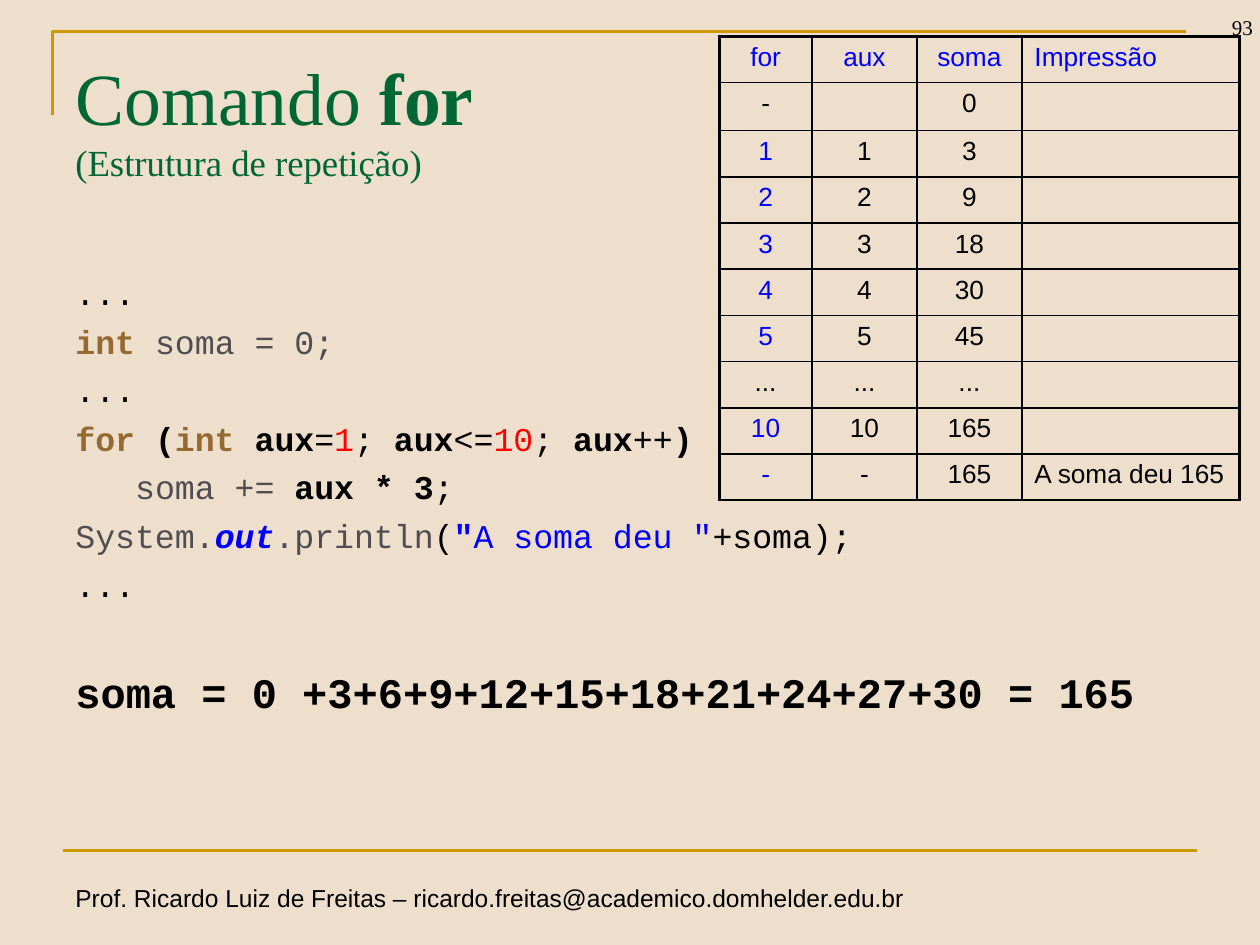
from collections import namedtuple
from dataclasses import dataclass
from lxml.etree import SubElement as Sub
from pptx import Presentation
from pptx.dml.color import RGBColor as Color
from pptx.enum.shapes import MSO_CONNECTOR as Link
from pptx.enum.text import MSO_ANCHOR as Anchor, PP_ALIGN as Align
from pptx.oxml.ns import qn
from pptx.util import Pt

Box = namedtuple("Box", "x y w h")


@dataclass(frozen=True)
class Theme:
    back: str = "EEDFCC"
    gold: str = "CC9900"
    green: str = "006633"
    black: str = "000000"
    blue: str = "0000FF"
    brown: str = "946A32"
    gray: str = "4F4D52"
    red: str = "FF0000"
    sans: str = "Arial"
    serif: str = "Times New Roman"
    mono: str = "Courier New"
    head: float = 42
    sub: float = 21
    code: float = 19
    sum: float = 24
    cell: float = 15
    foot: float = 14
    page: float = 12
    thin: float = 1
    rule: float = 1.5
    thick: float = 2.25


T = Theme()
CODE = [
    [("...", T.black, "")],
    [("int ", T.brown, "b"), ("soma = 0;", T.gray, "")],
    [("...", T.black, "")],
    [("for", T.brown, "b"), (" (", T.black, "b"), ("int ", T.brown, "b"),
     ("aux", T.black, "b"), ("=", T.black, ""), ("1", T.red, ""),
     ("; ", T.black, ""), ("aux", T.black, "b"), ("<=", T.black, ""),
     ("10", T.red, ""), ("; ", T.black, ""), ("aux", T.black, "b"),
     ("++", T.black, ""), (")", T.black, "b")],
    [("   ", T.black, ""), ("soma += ", T.gray, ""),
     ("aux * 3", T.black, "b"), (";", T.black, "")],
    [("System.", T.gray, ""), ("out", T.blue, "bi"), (".println", T.gray, ""),
     ("(", T.black, ""), ('"', T.blue, "b"), ('A soma deu "', T.blue, ""),
     ("+soma);", T.black, "")],
    [("...", T.black, "")],
]
TOTAL = [[("soma = 0 +3+6+9+12+15+18+21+24+27+30 = 165", T.black, "b")]]
HEADS = ["for", "aux", "soma", "Impressão"]
STEPS = [
    ["-", "", "0", ""],
    ["1", "1", "3", ""],
    ["2", "2", "9", ""],
    ["3", "3", "18", ""],
    ["4", "4", "30", ""],
    ["5", "5", "45", ""],
    ["...", "...", "...", ""],
    ["10", "10", "165", ""],
    ["-", "-", "165", "A soma deu 165"],
]


def add_run(para, text, face, size, tint, style=""):
    run = para.add_run()
    run.text = text
    font = run.font
    font.name, font.size = face, Pt(size)
    font.color.rgb = Color.from_string(tint)
    font.bold, font.italic = "b" in style, "i" in style


def add_text(slide, box, top=3.6, wrap=True):
    frame = slide.shapes.add_textbox(*map(Pt, box)).text_frame
    frame.word_wrap = wrap
    frame.margin_top = Pt(top)
    return frame


def ink(line, tint, width):
    line.color.rgb = Color.from_string(tint)
    line.width = Pt(width)


def draw_frame(slide, box):
    form = slide.shapes.build_freeform(Pt(box.x), Pt(box.y + 48))
    form.add_line_segments(
        [(Pt(box.x), Pt(box.y)), (Pt(box.x + 648), Pt(box.y))], close=False)
    edge = form.convert_to_shape()
    edge.shadow.inherit = False
    edge.fill.background()
    ink(edge.line, T.gold, T.rule)
    base = box.y + box.h
    rule = slide.shapes.add_connector(
        Link.STRAIGHT, Pt(box.x + 6), Pt(base), Pt(box.x + box.w), Pt(base))
    Sub(rule._element.spPr, qn("a:effectLst"))
    ink(rule.line, T.gold, T.rule)


def draw_foot(slide, box):
    para = add_text(slide, box, wrap=False).paragraphs[0]
    add_run(para, "Prof. Ricardo Luiz de Freitas – "
            "ricardo.freitas@academico.domhelder.edu.br",
            T.sans, T.foot, T.black)


def draw_page(slide, box):
    frame = add_text(slide, box)
    frame.vertical_anchor = Anchor.BOTTOM
    para = frame.paragraphs[0]
    para.alignment = Align.RIGHT
    add_run(para, "93", T.serif, T.page, T.black)


def draw_title(slide, box):
    para = add_text(slide, box, top=8).paragraphs[0]
    add_run(para, "Comando ", T.serif, T.head, T.green)
    add_run(para, "for", T.serif, T.head, T.green, "b")
    para.add_line_break()
    add_run(para, "(Estrutura de repetição)", T.serif, T.sub, T.green)


def draw_code(slide, box, lines, size, top):
    frame = add_text(slide, box, top)
    for i, line in enumerate(lines):
        para = frame.add_paragraph() if i else frame.paragraphs[0]
        if i:
            para.space_before = Pt(5)
        props = para._p.get_or_add_pPr()
        props.set("marL", str(Pt(27)))
        props.set("indent", str(Pt(-27)))
        for text, tint, style in line:
            add_run(para, text, T.mono, size, tint, style)


def add_edge(cell, side, width):
    props = cell._tc.get_or_add_tcPr()
    line = Sub(props, qn("a:ln" + side), w=str(Pt(width)))
    Sub(Sub(line, qn("a:solidFill")), qn("a:srgbClr"), val=T.black)


def draw_cell(cell, text, row, col, last):
    outer = {"L": col == 0, "R": col == last, "T": row == 0, "B": False}
    for side, bold in outer.items():
        add_edge(cell, side, T.thick if bold else T.thin)
    cell.fill.background()
    para = cell.text_frame.paragraphs[0]
    para.alignment = Align.LEFT if col == last else Align.CENTER
    if text:
        first = col == 0 and row != 1 and text != "..."
        tint = T.blue if row == 0 or first else T.black
        add_run(para, text, T.sans, T.cell, tint)
    else:
        Sub(para._p, qn("a:endParaRPr"), sz=str(Pt(T.cell).centipoints))


def draw_trace(slide, box):
    rows = [HEADS] + STEPS
    last = len(HEADS) - 1
    grid = slide.shapes.add_table(
        len(rows), len(HEADS), *map(Pt, box)).table
    grid.first_row = grid.horz_banding = False
    for col, width in zip(grid.columns, (53, 60, 60, box.w - 173)):
        col.width = Pt(width)
    for r, texts in enumerate(rows):
        grid.rows[r].height = Pt(27.4 if r == 1 else 26.4)
        for c, text in enumerate(texts):
            draw_cell(grid.cell(r, c), text, r, c, last)


def main():
    deck = Presentation()
    deck.slide_width, deck.slide_height = Pt(720), Pt(540)
    slide = deck.slides.add_slide(deck.slide_layouts[6])
    fill = slide.background.fill
    fill.solid()
    fill.fore_color.rgb = Color.from_string(T.back)
    draw_foot(slide, Box(36, 501, 494, 24.5))
    draw_frame(slide, Box(30, 18, 654, 468))
    draw_page(slide, Box(669, -10, 54, 36))
    draw_title(slide, Box(36, 21.6, 648, 90))
    draw_code(slide, Box(36, 148.3, 633, 201.6), CODE, T.code, 7.3)
    draw_code(slide, Box(36, 372.2, 669.6, 73.4), TOTAL, T.sum, 8.8)
    draw_trace(slide, Box(411, 20.9, 297.4, 265))
    deck.save("out.pptx")


if __name__ == "__main__":
    main()
